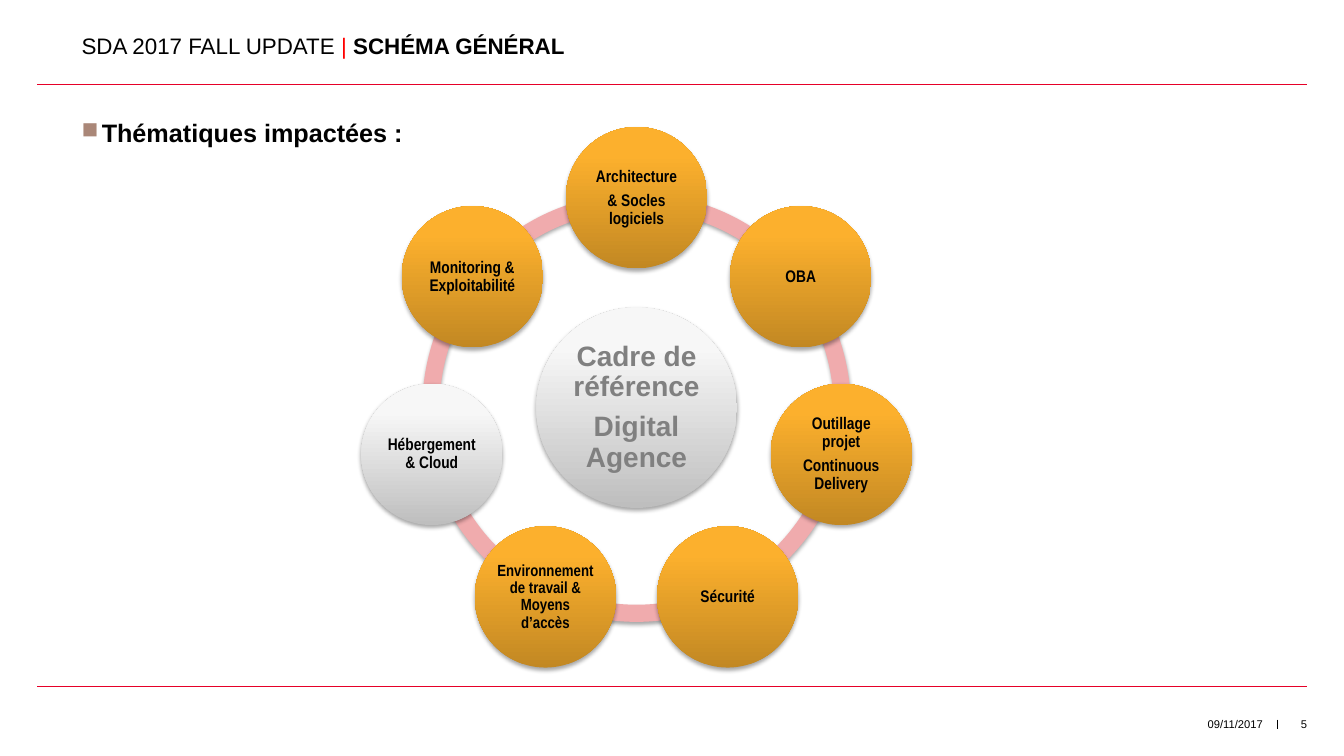
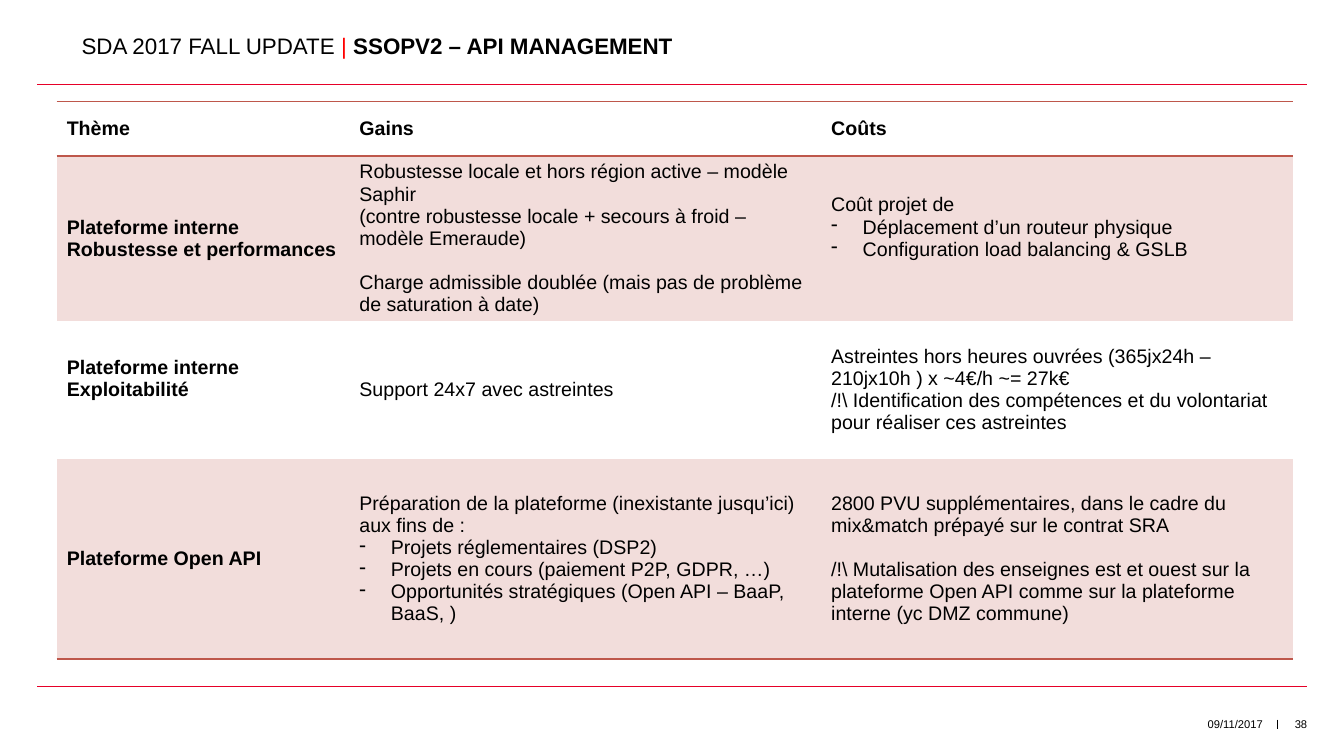
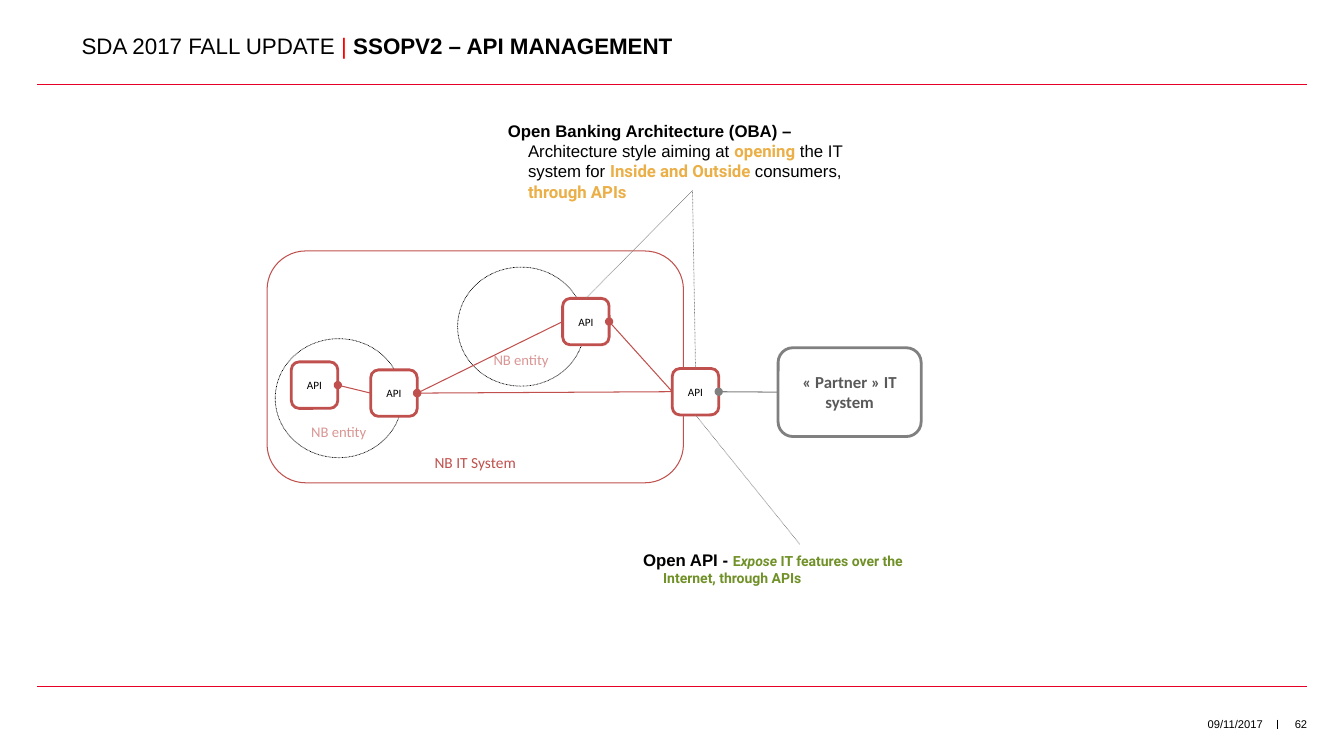
"""Build three SDA 2017 slides: impacted themes, gains and costs, open banking."""
from dataclasses import dataclass
from math import cos, radians, sin

from lxml import etree
from pptx import Presentation
from pptx.dml.color import RGBColor
from pptx.enum import dml, shapes, text
from pptx.oxml.ns import qn
from pptx.util import Pt


def rgb(value):
    return RGBColor.from_string(value)


@dataclass(frozen=True)
class Theme:
    black: str = "000000"
    white: str = "FFFFFF"
    rule: str = "E60028"
    bar: str = "FF0000"
    bullet: str = "AA8778"
    ring: str = "F0ABAD"
    amber: tuple = ("C28823", "FCB02D")
    silver: tuple = ("BEBEBE", "F7F7F7")
    grey: str = "808080"
    dark_grey: str = "595959"
    border: str = "BE574B"
    band: str = "F2DDDB"
    red: str = "C0504D"
    pink: str = "D99694"
    gold: str = "EBAF47"
    green: str = "709127"
    font: str = "Arial"
    narrow: str = "Arial Narrow"
    label: str = "Calibri"
    accent: str = "Roboto"
    title_size: float = 16
    heading_size: float = 18
    hub_size: float = 20
    table_size: float = 14
    body_size: float = 12
    small_size: float = 8


@dataclass
class Line:
    spans: object
    hang: float = 0
    bullet: str = ""
    before: float = 0
    after: float = 0
    spacing: float = 1.0


theme = Theme()
LEFT, CENTER, RIGHT = text.PP_ALIGN.LEFT, text.PP_ALIGN.CENTER, text.PP_ALIGN.RIGHT
TOP, MIDDLE, BOTTOM = text.MSO_ANCHOR.TOP, text.MSO_ANCHOR.MIDDLE, text.MSO_ANCHOR.BOTTOM
ROUNDED, OVAL = shapes.MSO_SHAPE.ROUNDED_RECTANGLE, shapes.MSO_SHAPE.OVAL


def write(frame, lines, size, color=theme.black, font=theme.font, bold=False,
          align=LEFT, anchor=TOP, insets=(0, 0)):
    """Fill a text frame; insets of None leave the frame's own settings alone."""
    if insets:
        frame.auto_size = text.MSO_AUTO_SIZE.NONE
        frame.word_wrap = True
        frame.vertical_anchor = anchor
        frame.margin_left = frame.margin_right = Pt(insets[0])
        frame.margin_top = frame.margin_bottom = Pt(insets[1])
    for index, line in enumerate(lines):
        line = Line(line) if isinstance(line, str) else line
        para = frame.add_paragraph() if index else frame.paragraphs[0]
        para.alignment = align
        para.line_spacing = line.spacing
        para.space_before, para.space_after = Pt(line.before), Pt(line.after)
        properties = para._p.get_or_add_pPr()
        if line.hang:
            properties.set("marL", str(Pt(line.hang)))
            properties.set("indent", str(-Pt(line.hang)))
        if line.bullet == "■":
            tint = etree.SubElement(properties, qn("a:buClr"))
            etree.SubElement(tint, qn("a:srgbClr"), val=theme.bullet)
            etree.SubElement(properties, qn("a:buSzPct"), val="90000")
        if line.bullet:
            etree.SubElement(properties, qn("a:buChar"), char=line.bullet)
        para.font.size, para.font.name, para.font.bold = Pt(size), font, bold
        para.font.color.rgb = rgb(color)
        spans = [(line.spans, {})] if isinstance(line.spans, str) else line.spans
        for words, style in spans:
            span = para.add_run()
            span.text = words
            for key, value in style.items():
                if key == "color":
                    span.font.color.rgb = rgb(value)
                else:
                    setattr(span.font, key, value)


def draw_line(page, x1, y1, x2, y2, color, width):
    """Draw a straight line without a shadow."""
    line = page.shapes.add_connector(
        shapes.MSO_CONNECTOR.STRAIGHT, Pt(x1), Pt(y1), Pt(x2), Pt(y2))
    line.line.color.rgb = rgb(color)
    line.line.width = Pt(width)
    etree.SubElement(line._element.spPr, qn("a:effectLst"))
    return line


deck = Presentation()
deck.slide_width, deck.slide_height = Pt(960), Pt(540)

pages = []
for subject, number in [("SCHÉMA GÉNÉRAL", "5"), ("SSOPV2 – API MANAGEMENT", "38"),
                        ("SSOPV2 – API MANAGEMENT", "62")]:
    page = deck.slides.add_slide(deck.slide_layouts[5])
    title = page.shapes.title
    title.left, title.top, title.width, title.height = Pt(58.3), Pt(20.2), Pt(843), Pt(22.3)
    write(title.text_frame, [Line([("SDA 2017 FALL UPDATE ", {}), ("| ", {"color": theme.bar}),
                                   (subject, {"bold": True})], spacing=0.9)],
          theme.title_size, anchor=BOTTOM)
    for y in (60.5, 490.3):
        draw_line(page, 933.4, y, 26.6, y, theme.rule, 0.5)
    draw_line(page, 912.2, 514, 912.2, 520.6, theme.black, 0.75)
    for label, left, width in [("09/11/2017", 711.4, 190.8), (number, 907.2, 26.6)]:
        box = page.shapes.add_textbox(Pt(left), Pt(512.6), Pt(width), Pt(17.3))
        write(box.text_frame, [label], theme.small_size, align=RIGHT)
    pages.append(page)
themes_page, costs_page, banking_page = pages

heading = themes_page.shapes.add_textbox(Pt(58.3), Pt(84), Pt(330), Pt(24))
write(heading.text_frame, [Line("Thématiques impactées :", hang=14.4, bullet="■")],
      theme.heading_size, bold=True)

center_x, center_y = 454.7, 291.2
ring_size, hub_size, node_size, orbit = 306, 143.3, 101, 150
nodes = [
    (["Architecture", "& Socles logiciels"], theme.amber, 12),
    (["OBA"], theme.amber, 12),
    (["Outillage projet", "Continuous Delivery"], theme.amber, 12),
    (["Sécurité"], theme.amber, 12),
    (["Environnement de travail & Moyens d’accès"], theme.amber, 11.5),
    (["Hébergement & Cloud"], theme.silver, 12),
    (["Monitoring & Exploitabilité"], theme.amber, 12),
]
step = 360 / len(nodes)
wheel = []
for index in range(len(nodes)):
    arc = themes_page.shapes.add_shape(
        shapes.MSO_SHAPE.BLOCK_ARC, Pt(center_x - ring_size / 2), Pt(center_y - ring_size / 2),
        Pt(ring_size), Pt(ring_size))
    arc.adjustments[0] = (270 + index * step) % 360 * 0.6
    arc.adjustments[1] = (270 + (index + 1) * step) % 360 * 0.6
    arc.adjustments[2] = 0.04
    arc.fill.solid()
    arc.fill.fore_color.rgb = rgb(theme.ring)
    wheel.append(arc)

discs = [(center_x, center_y, hub_size, ["Cadre de référence", "Digital Agence"],
          theme.silver, theme.hub_size, theme.font, theme.grey)]
for index, (labels, shades, size) in enumerate(nodes):
    angle = radians(index * step)
    discs.append((center_x + orbit * sin(angle), center_y - orbit * cos(angle), node_size,
                  labels, shades, size, theme.narrow, theme.black))
for x, y, diameter, labels, shades, size, font, color in discs:
    disc = themes_page.shapes.add_shape(
        OVAL, Pt(x - diameter / 2), Pt(y - diameter / 2), Pt(diameter), Pt(diameter))
    disc.fill.gradient()
    disc.fill.gradient_angle = 90
    for stop, shade, position in zip(disc.fill.gradient_stops, shades, (0, 0.8)):
        stop.color.rgb = rgb(shade)
        stop.position = position
    write(disc.text_frame, [Line(label, after=0.35 * size, spacing=0.9) for label in labels],
          size, color, font, True, CENTER, MIDDLE)
    wheel.append(disc)
for part in wheel:
    part.line.fill.background()
    part.shadow.inherit = False
    shadow = etree.SubElement(part._element.spPr.find(qn("a:effectLst")), qn("a:outerShdw"),
                              blurRad=str(Pt(3.1)), dist=str(Pt(1.8)), dir="5400000",
                              rotWithShape="0")
    shade = etree.SubElement(shadow, qn("a:srgbClr"), val=theme.black)
    etree.SubElement(shade, qn("a:alpha"), val="35000")

rows = [
    [["Thème"], ["Gains"], ["Coûts"]],
    [["Plateforme interne", "Robustesse et performances"],
     ["Robustesse locale et hors région active – modèle Saphir",
      "(contre robustesse locale + secours à froid – modèle Emeraude)",
      Line("Charge admissible doublée (mais pas de problème de saturation à date)", before=16)],
     ["Coût projet de",
      Line("Déplacement d’un routeur physique", 22.5, "-"),
      Line("Configuration load balancing & GSLB", 22.5, "-")]],
    [["Plateforme interne", "Exploitabilité"],
     ["Support 24x7 avec astreintes"],
     ["Astreintes hors heures ouvrées (365jx24h – 210jx10h ) x ~4€/h ~= 27k€",
      "/!\\ Identification des compétences et du volontariat pour réaliser ces astreintes"]],
    [["Plateforme Open API"],
     ["Préparation de la plateforme (inexistante jusqu’ici) aux fins de :",
      Line("Projets réglementaires (DSP2)", 22.5, "-"),
      Line("Projets en cours (paiement P2P, GDPR, …)", 22.5, "-"),
      Line("Opportunités stratégiques (Open API – BaaP, BaaS, )", 22.5, "-")],
     ["2800 PVU supplémentaires, dans le cadre du mix&match prépayé sur le contrat SRA",
      Line("/!\\ Mutalisation des enseignes est et ouest sur la plateforme Open API comme sur la "
           "plateforme interne (yc DMZ commune)", before=16)]],
]
widths, heights = (209, 337, 337), (39, 117.2, 98.6, 143)
table = costs_page.shapes.add_table(
    len(rows), len(widths), Pt(40.5), Pt(72.5), Pt(sum(widths)), Pt(sum(heights))).table
table.first_row = table.horz_banding = False
table._tbl.tblPr.find(qn("a:tableStyleId")).text = "{2D5ABB26-0587-4C30-8999-92F81FD0307C}"
for column, width in zip(table.columns, widths):
    column.width = Pt(width)
edges = {0: ("a:lnT", "a:lnB"), 3: ("a:lnB",)}
raised_cells = [(1, 2), (2, 0)]
for r, row in enumerate(rows):
    table.rows[r].height = Pt(heights[r])
    for c, lines in enumerate(row):
        cell = table.cell(r, c)
        cell.vertical_anchor = MIDDLE
        if (r, c) in raised_cells:
            cell.margin_bottom = Pt(19.6)
        for edge in edges.get(r, ()):
            border = etree.SubElement(cell._tc.get_or_add_tcPr(), qn(edge), w=str(Pt(1)))
            paint = etree.SubElement(border, qn("a:solidFill"))
            etree.SubElement(paint, qn("a:srgbClr"), val=theme.border)
        if r % 2:
            cell.fill.solid()
            cell.fill.fore_color.rgb = rgb(theme.band)
        else:
            cell.fill.background()
        write(cell.text_frame, lines, theme.table_size, bold=r == 0 or c == 0, insets=None)

gold = {"name": theme.accent, "color": theme.gold, "bold": True}
green = {"name": theme.accent, "color": theme.green, "size": Pt(10)}
parts = {}
for name, (left, top, width, height), bold, spans in [
    ("banking", (355.7, 82.8, 277.9, 53.3), False, [
        ("Open Banking Architecture (OBA) – ", {"bold": True}),
        ("Architecture style aiming at ", {}), ("opening", gold),
        (" the IT system for ", {}), ("Inside and Outside ", gold),
        ("consumers, ", {}), ("through APIs", gold)]),
    ("open_api", (452.2, 388.8, 238.3, 33.8), True, [
        ("Open API - ", {}), ("E", green), ("xpose", {**green, "italic": True}),
        (" IT features over the Internet, through APIs", green)]),
]:
    box = banking_page.shapes.add_textbox(Pt(left), Pt(top), Pt(width), Pt(height))
    write(box.text_frame, [Line(spans, hang=14.4)], theme.body_size, bold=bold, insets=(7.2, 3.6))
    parts[name] = box

api_look = (ROUNDED, "API", 8, theme.black, theme.red, 2, MIDDLE)
entity_look = (OVAL, "NB entity", 10.5, theme.pink, theme.black, 0.5, BOTTOM)
partner_look = (ROUNDED, "«\u00a0Partner\u00a0» IT system", 12, theme.dark_grey, theme.grey, 2, MIDDLE)
system_look = (ROUNDED, "NB IT System", 11, theme.red, theme.red, 0.75, BOTTOM)
api, entity = (33.2, 33.2), (90.7, 85)
for name, (left, top), (width, height), look in [
    ("partner", (555.8, 248.4), (102.2, 63.4), partner_look),
    ("system", (190.8, 179.3), (297.4, 165.6), system_look),
    ("upper_entity", (326.9, 190.8), entity, entity_look),
    ("lower_entity", (196.6, 241.9), entity, entity_look),
    ("gateway", (480.2, 263.2), api, api_look),
    ("inner_api", (208.1, 258.5), api, api_look),
    ("lower_api", (264.8, 264.2), api, api_look),
    ("upper_api", (401.9, 213.1), api, api_look),
]:
    kind, label, size, color, outline, weight, anchor = look
    shape = banking_page.shapes.add_shape(kind, Pt(left), Pt(top), Pt(width), Pt(height))
    shape.shadow.inherit = False
    shape.line.color.rgb = rgb(outline)
    shape.line.width = Pt(weight)
    if weight == 2:
        shape.fill.solid()
        shape.fill.fore_color.rgb = rgb(theme.white)
    else:
        shape.fill.background()
    if kind == OVAL:
        shape.line.dash_style = dml.MSO_LINE.ROUND_DOT
    write(shape.text_frame, [label], size, color, theme.label, name == "partner", CENTER, anchor)
    parts[name] = shape

for start, start_side, end, end_side, color, dotted in [
    ("lower_api", 3, "gateway", 1, theme.red, False),
    ("gateway", 3, "partner", 1, theme.grey, False),
    ("upper_api", 3, "gateway", 1, theme.red, False),
    ("lower_api", 3, "upper_api", 1, theme.red, False),
    ("inner_api", 3, "lower_api", 1, theme.red, False),
    ("gateway", 2, "open_api", 0, theme.grey, True),
    ("gateway", 0, "banking", 2, theme.grey, True),
    ("upper_api", 0, "banking", 2, theme.grey, True),
]:
    link = draw_line(banking_page, 0, 0, 0, 0, color, 0.5 if dotted else 0.75)
    link.begin_connect(parts[start], start_side)
    link.end_connect(parts[end], end_side)
    if dotted:
        link.line.dash_style = dml.MSO_LINE.ROUND_DOT
    else:
        etree.SubElement(link._element.spPr.find(qn("a:ln")), qn("a:headEnd"), type="oval")

deck.save("out.pptx")
